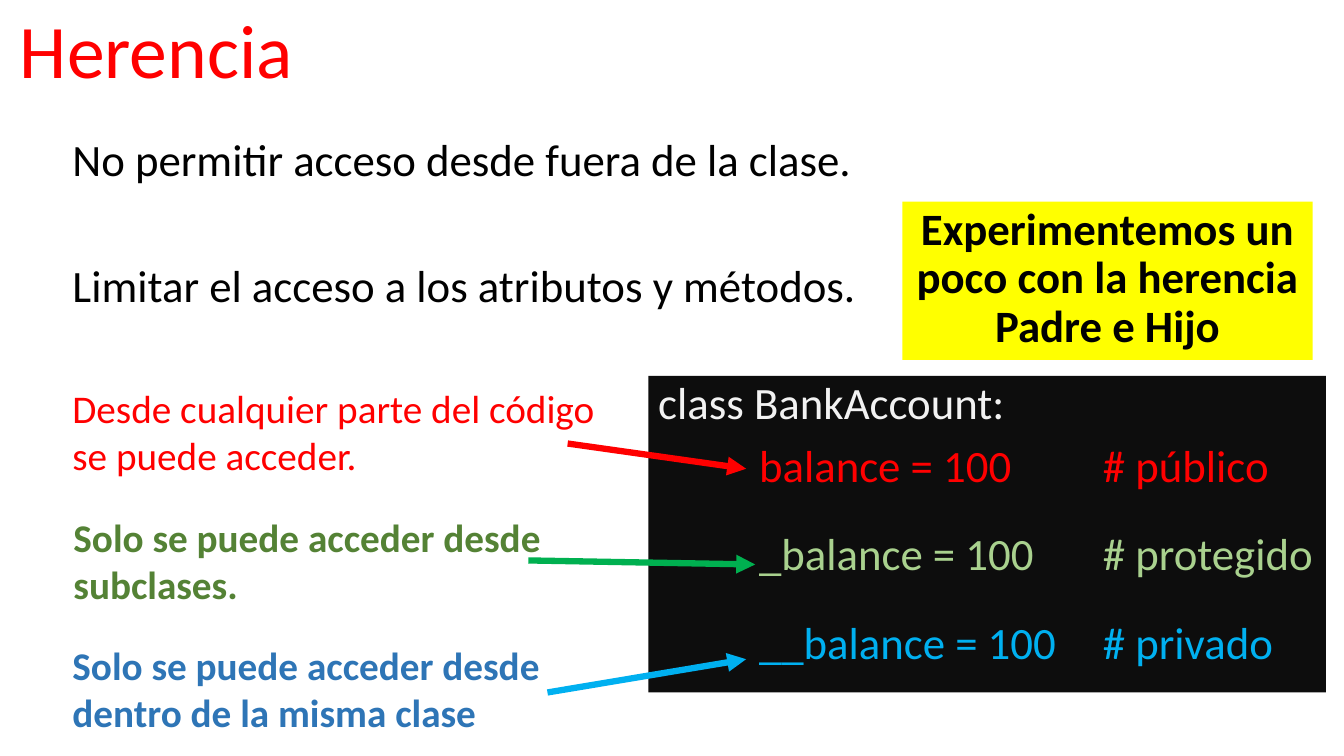
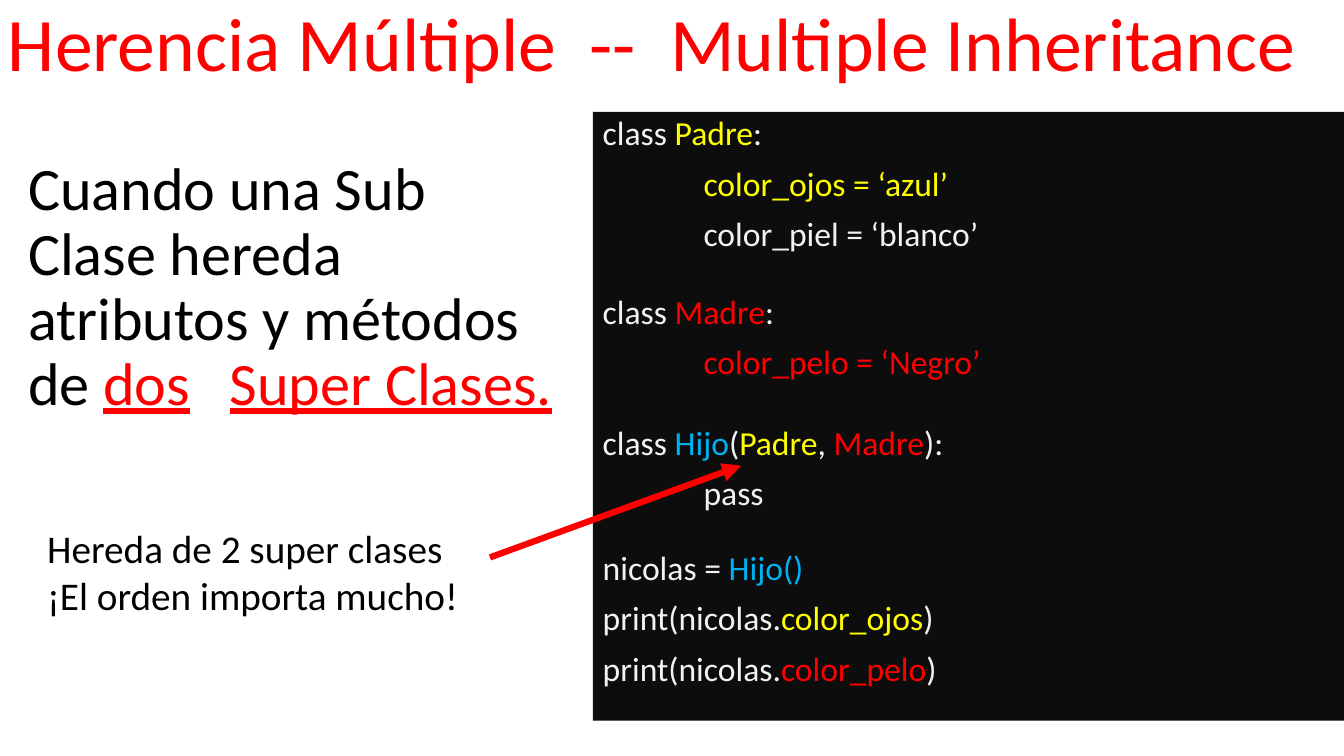
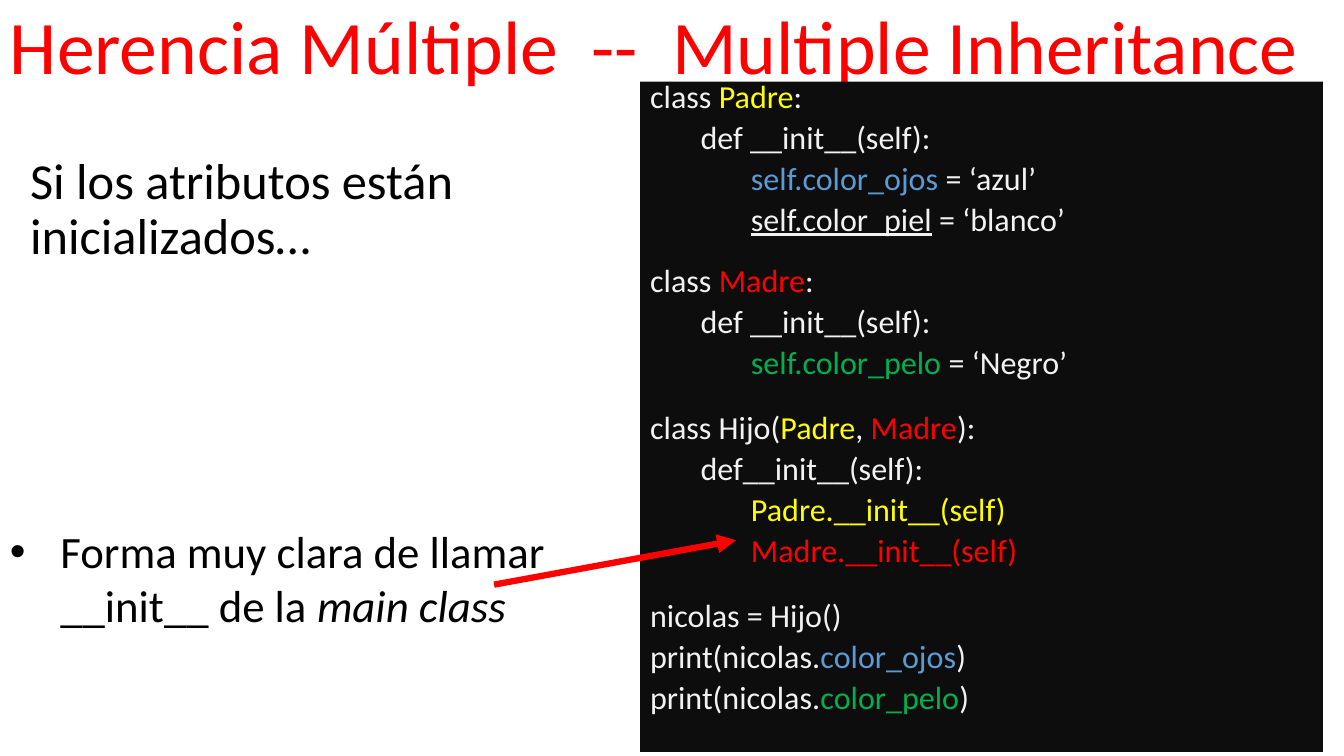
"""Build three slides about inheritance in Python classes."""

from dataclasses import dataclass

import lxml.etree
import pptx
import pptx.dml.color
import pptx.enum.shapes
import pptx.enum.text
import pptx.oxml.ns
import pptx.presentation
import pptx.slide
import pptx.text.text
import pptx.util

EMU_PER_PX = 9144
FONT = "Calibri"
COLORS = {
    "black": "000000",
    "panel": "0D0D0D",
    "code": "F2F2F2",
    "red": "FF0000",
    "yellow": "FFFF00",
    "green": "00B050",
    "dark_green": "548235",
    "light_green": "A9D18E",
    "sky": "00B0F0",
    "blue": "5B9BD5",
    "dark_blue": "2E75B6",
}
LEFT = pptx.enum.text.PP_ALIGN.LEFT
CENTER = pptx.enum.text.PP_ALIGN.CENTER
TOP = pptx.enum.text.MSO_ANCHOR.TOP
BOTTOM = pptx.enum.text.MSO_ANCHOR.BOTTOM


@dataclass(frozen=True)
class Run:
    text: str
    color: str
    bold: bool = False
    italic: bool = False
    underline: bool = False


@dataclass(frozen=True)
class Line:
    runs: tuple[Run, ...]
    space_before: float = 10


@dataclass(frozen=True)
class Box:
    area: tuple[int, int, int, int]
    size: float
    lines: tuple[Line, ...]
    fill: str | None = None
    line_spacing: float = 0.9
    tab_stops: tuple[int, ...] = ()
    alignment: pptx.enum.text.PP_ALIGN = LEFT
    anchor: pptx.enum.text.MSO_ANCHOR = TOP
    bullet_indent: int = 0


@dataclass(frozen=True)
class Arrow:
    start: tuple[int, int]
    end: tuple[int, int]
    color: str = "red"


def px(length: int) -> pptx.util.Emu:
    return pptx.util.Emu(length * EMU_PER_PX)


def rgb(name: str) -> pptx.dml.color.RGBColor:
    return pptx.dml.color.RGBColor.from_string(COLORS[name])


def line(*parts: Run | tuple[str, str], gap: float = 10) -> Line:
    return Line(tuple(part if isinstance(part, Run) else Run(*part) for part in parts), gap)


def title(text: str, area: tuple[int, int, int, int]) -> Box:
    return Box(area, 54, (line((text, "red")),), tab_stops=(577, 657), anchor=BOTTOM)


def note(area: tuple[int, int, int, int], *lines: Line) -> Box:
    return Box(area, 28, lines, line_spacing=1.0)


def child_of(name: str, color: str, gap: float) -> Line:
    return line(("class ", "code"), (name, color), ("(", "code"), ("Padre", "yellow"),
                (", ", "code"), ("Madre", "red"), ("):", "code"), gap=gap)


def class_line(name: str, color: str, gap: float = 10) -> Line:
    return line(("class ", "code"), (name, color), (":", "code"), gap=gap)


def print_line(attribute: str, color: str) -> Line:
    return line(("print(nicolas.", "code"), (attribute, color), (")", "code"))


def add_paragraph_marks(paragraph: pptx.text.text._Paragraph, box: Box) -> None:
    properties = paragraph._p.get_or_add_pPr()
    qn = pptx.oxml.ns.qn
    if box.bullet_indent:
        properties.set("marL", str(px(box.bullet_indent)))
        properties.set("indent", str(-px(box.bullet_indent)))
        lxml.etree.SubElement(properties, qn("a:buFont"), typeface="Arial")
        lxml.etree.SubElement(properties, qn("a:buChar"), char="•")
    if box.tab_stops:
        tab_list = lxml.etree.SubElement(properties, qn("a:tabLst"))
        for stop in box.tab_stops:
            lxml.etree.SubElement(tab_list, qn("a:tab"), pos=str(px(stop)), algn="l")


def draw_box(slide: pptx.slide.Slide, box: Box) -> None:
    area = [px(length) for length in box.area]
    if box.fill:
        shape = slide.shapes.add_shape(pptx.enum.shapes.MSO_SHAPE.RECTANGLE, *area)
        shape.shadow.inherit = False
        shape.fill.solid()
        shape.fill.fore_color.rgb = rgb(box.fill)
        shape.line.fill.background()
    else:
        shape = slide.shapes.add_textbox(*area)
    frame = shape.text_frame
    frame.word_wrap = True
    frame.vertical_anchor = box.anchor
    for index, content in enumerate(box.lines):
        paragraph = frame.add_paragraph() if index else frame.paragraphs[0]
        add_paragraph_marks(paragraph, box)
        paragraph.alignment = box.alignment
        paragraph.line_spacing = box.line_spacing
        if index:
            paragraph.space_before = pptx.util.Pt(content.space_before)
        for part in content.runs:
            run = paragraph.add_run()
            run.text = part.text
            run.font.name = FONT
            run.font.size = pptx.util.Pt(box.size)
            run.font.color.rgb = rgb(part.color)
            run.font.bold = part.bold
            run.font.italic = part.italic
            run.font.underline = part.underline


def draw_arrow(slide: pptx.slide.Slide, arrow: Arrow) -> None:
    ends = [px(length) for length in arrow.start + arrow.end]
    connector = slide.shapes.add_connector(pptx.enum.shapes.MSO_CONNECTOR.STRAIGHT, *ends)
    connector.line.color.rgb = rgb(arrow.color)
    connector.line.width = pptx.util.Pt(4.5)
    qn = pptx.oxml.ns.qn
    lxml.etree.SubElement(connector.line._get_or_add_ln(), qn("a:tailEnd"), type="triangle")
    lxml.etree.SubElement(connector._element.spPr, qn("a:effectLst"))


MULTIPLE_TITLE = "Herencia Múltiple\t--\tMultiple Inheritance"

ACCESS_SLIDE = (
    title("Herencia", (10, 0, 470, 99)),
    Box((62, 132, 918, 209), 32, (
        line(("No permitir acceso desde fuera de la clase.", "black")),
        line(("Limitar el acceso a los atributos y métodos.", "black"), gap=55),
    )),
    Box((643, 373, 672, 314), 32, (
        line(("class BankAccount:", "code")),
        line(("\tbalance = 100\t# público", "red")),
        line(("\t_balance = 100\t# protegido", "light_green"), gap=28.8),
        line(("\t__balance = 100\t# privado", "sky"), gap=28.8),
    ), fill="panel", tab_stops=(100, 441)),
    note((62, 376, 555, 104),
         line(("Desde cualquier parte del código se puede acceder.", "red"))),
    Arrow((563, 440), (740, 465)),
    note((63, 504, 541, 104),
         line(Run("Solo se puede acceder desde subclases.", "dark_green", bold=True))),
    Arrow((524, 556), (749, 560), "green"),
    note((62, 631, 555, 104),
         line(Run("Solo se puede acceder desde dentro de la misma clase", "dark_blue", bold=True))),
    Arrow((543, 687), (740, 654), "sky"),
    Box((895, 200, 407, 157), 32, (
        line(Run("Experimentemos un poco con la herencia Padre e Hijo", "black", bold=True)),
    ), fill="yellow", alignment=CENTER),
)

MULTIPLE_SLIDE = (
    title(MULTIPLE_TITLE, (-2, -4, 1361, 96)),
    Box((18, 152, 548, 340), 43, (
        line(("Cuando una Sub Clase hereda atributos y métodos de ", "black"),
             Run("dos\tSuper Clases.", "red", underline=True)),
    ), tab_stops=(200,)),
    Box((588, 111, 746, 604), 24, (
        class_line("Padre", "yellow"),
        line(("\tcolor_ojos = ‘azul’", "yellow")),
        line(("\tcolor_piel = ‘blanco’", "code")),
        class_line("Madre", "red", gap=30),
        line(("\tcolor_pelo = ‘Negro’", "red")),
        child_of("Hijo", "sky", gap=31.5),
        line(("\tpass", "code")),
        line(("nicolas = ", "code"), ("Hijo()", "sky"), gap=27.7),
        print_line("color_ojos", "yellow"),
        print_line("color_pelo", "red"),
    ), fill="panel", tab_stops=(100,)),
    note((37, 515, 507, 104),
         line(("Hereda de 2 super clases", "black")),
         line(("¡El orden importa mucho!", "black"), gap=0)),
    Arrow((486, 553), (735, 462)),
)

INIT_SLIDE = (
    title(MULTIPLE_TITLE, (0, 3, 1361, 92)),
    Box((20, 150, 481, 130), 36, (line(("Si los atributos están inicializados…", "black")),)),
    Box((635, 81, 677, 665), 22.9, (
        class_line("Padre", "yellow"),
        line(("\tdef __init__(self):", "code")),
        line(("\t\tself.color_ojos", "blue"), (" = ‘azul’", "code")),
        line(("\t\t", "code"), Run("self.color_piel", "code", underline=True),
             (" = ‘blanco’", "code")),
        class_line("Madre", "red", gap=24.4),
        line(("\tdef __init__(self):", "code")),
        line(("\t\tself.color_pelo", "green"), (" = ‘Negro’", "code")),
        child_of("Hijo", "code", gap=27.3),
        line(("\tdef__init__(self):", "code")),
        line(("\t\tPadre.__init__(self)", "yellow")),
        line(("\t\tMadre.__init__(self)", "red")),
        line(("nicolas = Hijo()", "code"), gap=27.3),
        print_line("color_ojos", "blue"),
        print_line("color_pelo", "green"),
    ), fill="panel", line_spacing=0.7, tab_stops=(50, 100)),
    Box((0, 515, 586, 118), 32, (
        line(("Forma muy clara de llamar __init__ de la ", "black"),
             Run("main class", "black", italic=True)),
    ), line_spacing=1.0, bullet_indent=50),
    Arrow((490, 580), (730, 536)),
)


def add_slide(presentation: pptx.presentation.Presentation, items: tuple[Box | Arrow, ...]) -> None:
    slide = presentation.slides.add_slide(presentation.slide_layouts[6])
    for item in items:
        if isinstance(item, Box):
            draw_box(slide, item)
        else:
            draw_arrow(slide, item)


def main() -> None:
    presentation = pptx.Presentation()
    presentation.slide_width = px(1333)
    presentation.slide_height = px(750)
    for items in (ACCESS_SLIDE, MULTIPLE_SLIDE, INIT_SLIDE):
        add_slide(presentation, items)
    presentation.save("out.pptx")


if __name__ == "__main__":
    main()
